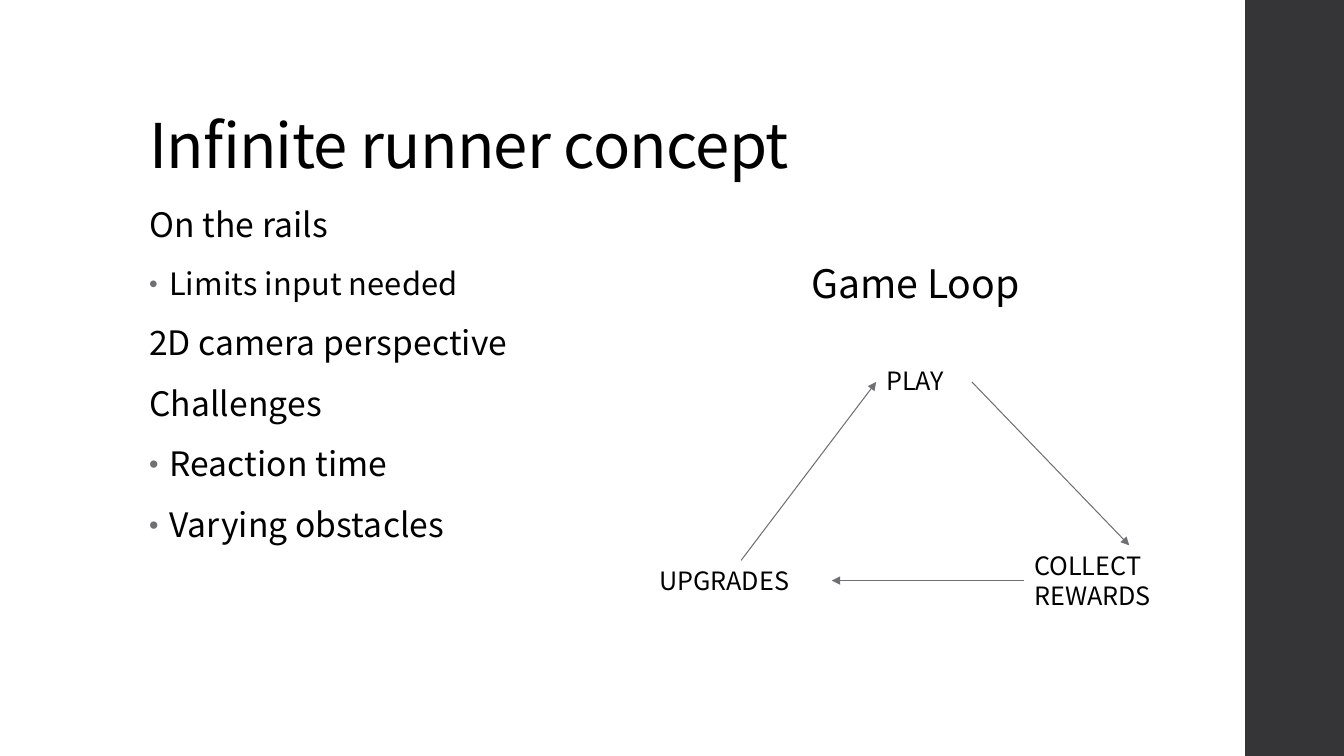
from dataclasses import dataclass

from lxml import etree
from pptx import Presentation
from pptx.dml.color import RGBColor
from pptx.enum import shapes, text
from pptx.oxml.ns import qn
from pptx.util import Inches, Pt


@dataclass(frozen=True)
class Theme:
    font: str = "Noto Sans CJK SC"
    ink: str = "000000"
    bar: str = "353537"
    accent: str = "6F6F74"
    title_size: int = 44
    heading_size: int = 28
    body_size: int = 24
    small_body_size: int = 22
    label_size: int = 18
    line_width: float = 0.75


def add_child(parent, tag, **attributes):
    return etree.SubElement(parent, qn(tag), attributes)


class SlideBuilder:
    def __init__(self, page, theme):
        self.page = page
        self.theme = theme

    def format_runs(self, paragraph, size, tracking=0):
        """Style every run; tracking is in hundredths of a point."""
        for span in paragraph.runs:
            span.font.name = self.theme.font
            span.font.size = Pt(size)
            span.font.color.rgb = RGBColor.from_string(self.theme.ink)
            if tracking:
                span._r.get_or_add_rPr().set("spc", str(tracking))

    def side_bar(self, left, top, width, height):
        bar = self.page.shapes.add_shape(
            shapes.MSO_SHAPE.RECTANGLE,
            Inches(left), Inches(top), Inches(width), Inches(height))
        bar.shadow.inherit = False
        bar.fill.solid()
        bar.fill.fore_color.rgb = RGBColor.from_string(self.theme.bar)
        bar.line.fill.background()

    def title(self, wording, left, top, width, height):
        box = self.page.shapes.title
        box.left, box.top = Inches(left), Inches(top)
        box.width, box.height = Inches(width), Inches(height)
        frame = box.text_frame
        frame.text = wording
        frame.word_wrap = True
        frame.auto_size = text.MSO_AUTO_SIZE.NONE
        frame.vertical_anchor = text.MSO_ANCHOR.BOTTOM
        paragraph = frame.paragraphs[0]
        paragraph.alignment = text.PP_ALIGN.LEFT
        paragraph.line_spacing = 0.9
        self.format_runs(paragraph, self.theme.title_size, -50)

    def text_box(self, left, top, width, height):
        box = self.page.shapes.add_textbox(
            Inches(left), Inches(top), Inches(width), Inches(height))
        box.text_frame.word_wrap = True
        return box.text_frame

    def label(self, wording, left, top, width, height, size):
        frame = self.text_box(left, top, width, height)
        frame.auto_size = text.MSO_AUTO_SIZE.SHAPE_TO_FIT_TEXT
        frame.text = wording
        self.format_runs(frame.paragraphs[0], size)

    def bullet(self, paragraph):
        properties = paragraph._p.get_or_add_pPr()
        indent = Inches(0.2)
        properties.set("marL", str(indent))
        properties.set("indent", str(-indent))
        colour = add_child(properties, "a:buClr")
        add_child(colour, "a:srgbClr", val=self.theme.accent)
        add_child(properties, "a:buSzPct", val="80000")
        add_child(properties, "a:buFont", typeface="Arial")
        add_child(properties, "a:buChar", char="•")

    def outline(self, items, left, top, width, height):
        """Write (wording, is_bullet, size) items as one text body."""
        frame = self.text_box(left, top, width, height)
        frame.text = "\n".join(wording for wording, _, _ in items)
        for index, (_, is_bullet, size) in enumerate(items):
            paragraph = frame.paragraphs[index]
            paragraph.line_spacing = 0.95
            paragraph.space_before = Pt(14 if index else 0)
            paragraph.space_after = Pt(2)
            if is_bullet:
                self.bullet(paragraph)
            self.format_runs(paragraph, size, 10)

    def arrow(self, start, end):
        connector = self.page.shapes.add_connector(
            shapes.MSO_CONNECTOR.STRAIGHT,
            *(Inches(value) for value in (*start, *end)))
        connector.line.color.rgb = RGBColor.from_string(self.theme.accent)
        connector.line.width = Pt(self.theme.line_width)
        add_child(connector.line._get_or_add_ln(), "a:tailEnd", type="triangle")
        add_child(connector._element.spPr, "a:effectLst")


def main():
    deck = Presentation()
    deck.slide_width, deck.slide_height = Inches(13.33), Inches(7.5)
    theme = Theme()
    title_only = deck.slide_layouts[5]
    builder = SlideBuilder(deck.slides.add_slide(title_only), theme)

    builder.side_bar(12.35, 0, 0.98, 7.5)
    builder.title("Infinite runner concept", 1.38, 0.4, 10.6, 1.45)
    builder.outline([
        ("On the rails", False, theme.body_size),
        ("Limits input needed", True, theme.small_body_size),
        ("2D camera perspective", False, theme.body_size),
        ("Challenges", False, theme.body_size),
        ("Reaction time", True, theme.body_size),
        ("Varying obstacles", True, theme.body_size),
    ], 1.38, 2, 9.4, 4.76)

    builder.label("Game Loop", 7.95, 2.52, 2.85, 0.57, theme.heading_size)
    steps = [
        ("PLAY", 8.69, 3.58, 0.95, 0.4),
        ("COLLECT REWARDS", 10.16, 5.41, 2.08, 0.71),
        ("UPGRADES", 6.44, 5.56, 1.81, 0.4),
    ]
    for step in steps:
        builder.label(*step, theme.label_size)

    builder.arrow((9.64, 3.79), (11.2, 5.41))
    builder.arrow((10.16, 5.76), (8.25, 5.76))
    builder.arrow((7.35, 5.56), (8.69, 3.79))

    deck.save("out.pptx")


if __name__ == "__main__":
    main()
